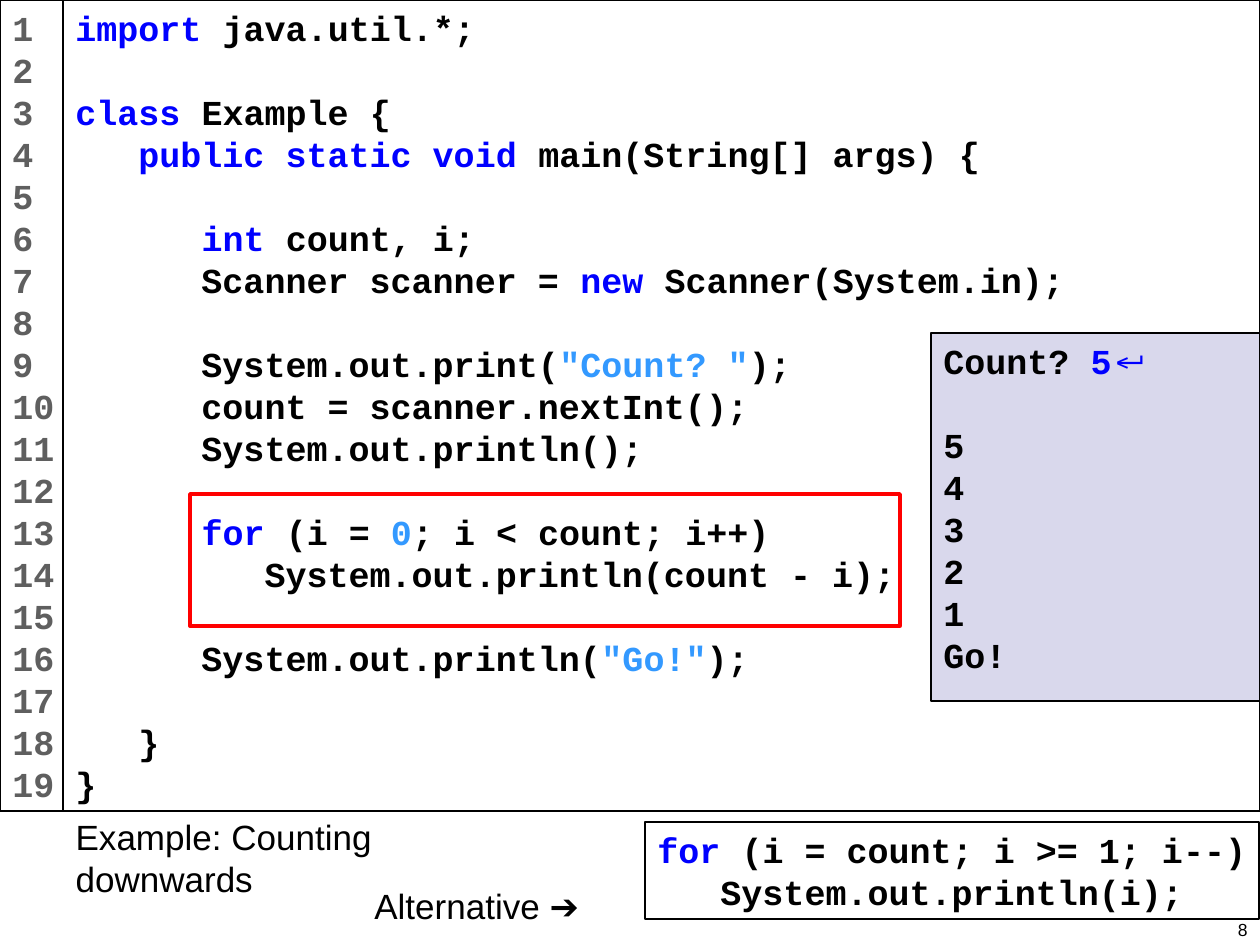
"""Build a slide with a Java countdown program, its console output and an alternative loop."""
from lxml.etree import SubElement
from pptx import Presentation
from pptx.dml.color import RGBColor
from pptx.enum.shapes import MSO_SHAPE
from pptx.enum.text import MSO_ANCHOR, PP_ALIGN
from pptx.oxml.ns import qn
from pptx.util import Emu, Pt

COLORS = {
    "text": "000000",
    "keyword": "0000FF",
    "literal": "3399FF",
    "number": "5F5F5F",
    "paper": "FFFFFF",
    "console": "D9D8EC",
    "highlight": "FF0000",
}
SCALE = 914400 / 126
CODE_FONT = "Courier New"
TEXT_FONT = "Arial"


def place(shape, box):
    shape.left, shape.top, shape.width, shape.height = [Emu(round(n * SCALE)) for n in box]


def write(shape, lines, font=CODE_FONT, size=20, bold=True, wrap=True):
    frame = shape.text_frame
    frame.word_wrap = wrap
    frame.vertical_anchor = MSO_ANCHOR.TOP
    for index, line in enumerate(lines):
        paragraph = frame.paragraphs[0] if index == 0 else frame.add_paragraph()
        paragraph.alignment = PP_ALIGN.LEFT
        for text, color in line:
            run = paragraph.add_run()
            run.text = text
            run.font.name = TEXT_FONT if text == "↵" else font
            run.font.size = Pt(size)
            run.font.bold = bold
            run.font.color.rgb = RGBColor.from_string(COLORS[color])
        if not line:
            end = SubElement(paragraph._p, qn("a:endParaRPr"), sz=str(size * 100), b="1")
            SubElement(end, qn("a:latin"), typeface=font)


program = [
    [("import ", "keyword"), ("java.util.*;", "text")],
    [],
    [("class", "keyword"), (" Example {", "text")],
    [("   public static void", "keyword"), (" main(String[] args) {", "text")],
    [],
    [("      ", "text"), ("int", "keyword"), (" count, i;", "text")],
    [("      Scanner scanner = ", "text"), ("new", "keyword"), (" Scanner(System.in);", "text")],
    [],
    [("      System.out.print(", "text"), ('"Count? "', "literal"), (");", "text")],
    [("      count = scanner.nextInt();", "text")],
    [("      System.out.println();", "text")],
    [],
    [("      ", "text"), ("for", "keyword"), (" (i = ", "text"), ("0", "literal"),
     ("; i < count; i++)", "text")],
    [("         System.out.println(count - i);", "text")],
    [],
    [("      System.out.println(", "text"), ('"Go!"', "literal"), (");", "text")],
    [],
    [("   }", "text")],
    [("}", "text")],
]
line_numbers = [[(str(number), "number")] for number in range(1, len(program) + 1)]
console = [[("Count? ", "text"), ("5", "keyword"), ("↵", "keyword")], []]
console += [[(text, "text")] for text in ("5", "4", "3", "2", "1", "Go!")]
alternative = [
    [("for", "keyword"), (" (i = count; i >= 1; i--)", "text")],
    [("   System.out.println(i);", "text")],
]

presentation = Presentation()
presentation.slide_width = Emu(round(1260 * SCALE))
presentation.slide_height = Emu(round(945 * SCALE))
slide = presentation.slides.add_slide(presentation.slide_layouts[5])

panels = [
    ((63, 0, 1197, 811), "paper", program, True),
    ((0, 0, 63, 811), "paper", line_numbers, True),
    ((931, 333, 329, 368), "console", console, True),
    ((645, 822, 614, 97), "paper", alternative, False),
]
for box, fill, lines, wrap in panels:
    panel = slide.shapes.add_shape(MSO_SHAPE.RECTANGLE, 0, 0, 0, 0)
    place(panel, box)
    panel.shadow.inherit = False
    panel.fill.solid()
    panel.fill.fore_color.rgb = RGBColor.from_string(COLORS[fill])
    panel.line.color.rgb = RGBColor.from_string(COLORS["text"])
    panel.line.width = Pt(0.75)
    if lines is line_numbers:
        panel.text_frame.margin_right = 0
    write(panel, lines, wrap=wrap)

loop_frame = slide.shapes.add_shape(MSO_SHAPE.RECTANGLE, 0, 0, 0, 0)
place(loop_frame, (190, 494, 710, 132))
loop_frame.shadow.inherit = False
loop_frame.fill.background()
loop_frame.line.color.rgb = RGBColor.from_string(COLORS["highlight"])
loop_frame.line.width = Pt(2)

title = slide.shapes.title
place(title, (63, 809, 508, 55))
write(title, [[("Example: Counting downwards", "text")]], TEXT_FONT, bold=False)

label = slide.shapes.add_textbox(0, 0, 0, 0)
place(label, (362, 878, 280, 55))
write(label, [[("Alternative ➔", "text")]], TEXT_FONT, bold=False)

page_number = slide.shapes.add_textbox(0, 0, 0, 0)
place(page_number, (966, 883, 294, 63))
write(page_number, [[("8", "text")]], TEXT_FONT, size=10, bold=False)
page_number.text_frame.vertical_anchor = MSO_ANCHOR.BOTTOM
page_number.text_frame.paragraphs[0].alignment = PP_ALIGN.RIGHT

presentation.save("out.pptx")
